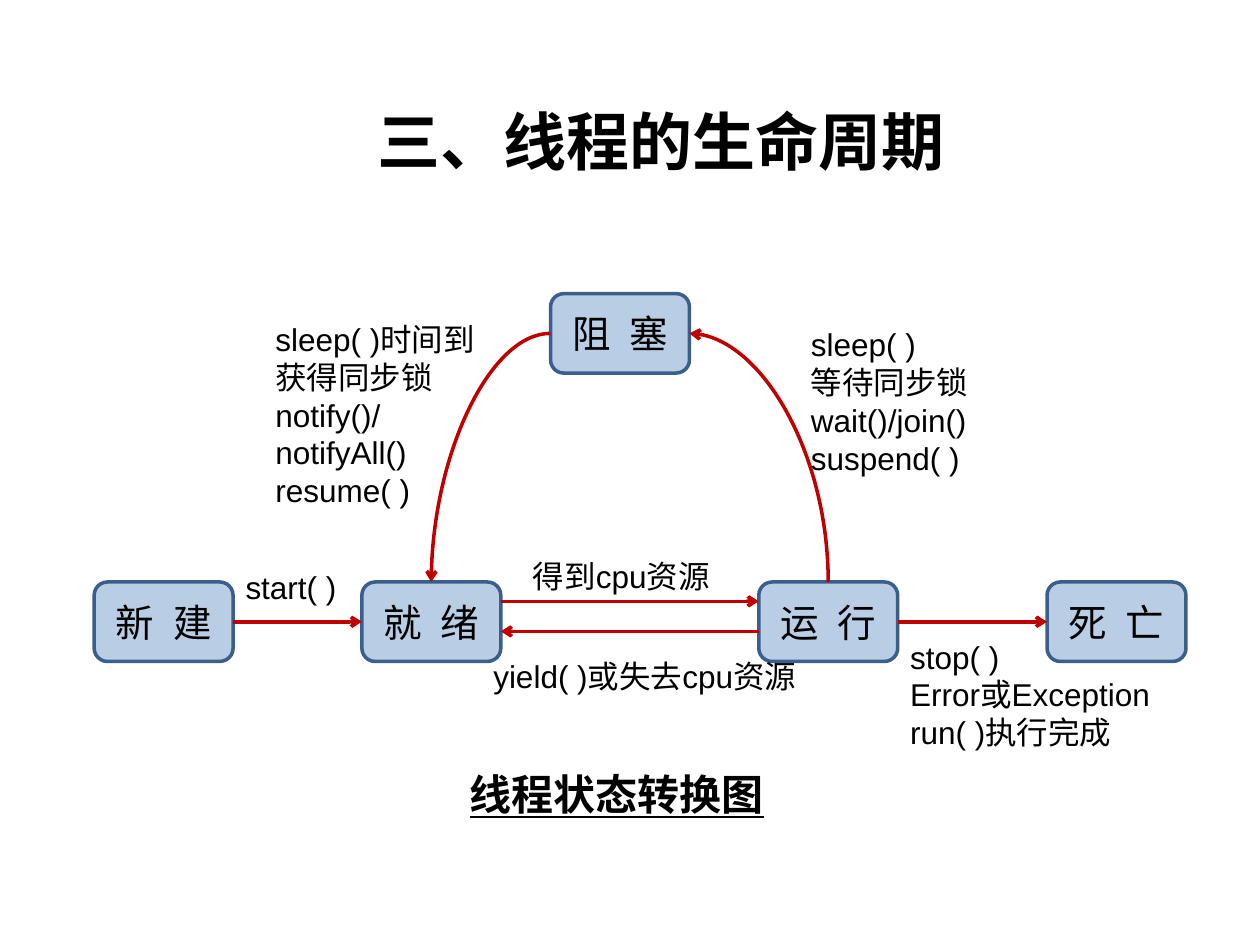
from dataclasses import dataclass

from lxml.etree import SubElement
from pptx import Presentation
from pptx.dml.color import RGBColor
from pptx.enum.shapes import MSO_CONNECTOR, MSO_SHAPE
from pptx.enum.text import MSO_ANCHOR, PP_ALIGN
from pptx.oxml.ns import qn
from pptx.util import Pt

TOP, LEFT, BOTTOM, RIGHT = range(4)  # connection sites of a rounded box


@dataclass(frozen=True)
class Theme:
    text: RGBColor = RGBColor(0, 0, 0)
    fill: RGBColor = RGBColor(0xB9, 0xCD, 0xE5)
    border: RGBColor = RGBColor(0x3A, 0x5F, 0x8C)
    arrow: RGBColor = RGBColor(0xC0, 0, 0)
    latin: str = "Arial"
    cjk: str = "Noto Sans CJK SC"
    title_font: str = "Times New Roman"
    title_size: int = 36
    caption_size: int = 24
    state_size: int = 22
    label_size: int = 18
    line_width: int = 2


class StateDiagram:
    state_width, state_height = 79.4, 45.4

    def __init__(self, slide, theme):
        self.slide, self.theme = slide, theme

    def set_text(self, tf, lines, size, font, bold=False, underline=False,
                 align=PP_ALIGN.LEFT, spacing=0):
        """Fill a text frame, one paragraph per line; spacing is in points."""
        tf.word_wrap = True
        for i, line in enumerate(lines):
            p = tf.add_paragraph() if i else tf.paragraphs[0]
            p.text = line
            p.alignment = align
            p.font.size = Pt(size)
            p.font.bold = bold
            p.font.underline = underline
            p.font.color.rgb = self.theme.text
            p.font.name = font
            props = p._p.pPr.find(qn("a:defRPr"))
            props.set("spc", str(spacing * 100))
            SubElement(props, qn("a:ea"), typeface=self.theme.cjk)

    def title(self, text, x, y, w, h):
        sp = self.slide.shapes.title
        sp.left, sp.top, sp.width, sp.height = Pt(x), Pt(y), Pt(w), Pt(h)
        sp.text_frame.vertical_anchor = MSO_ANCHOR.MIDDLE
        self.set_text(sp.text_frame, [text], self.theme.title_size,
                      self.theme.title_font, bold=True, align=PP_ALIGN.CENTER)

    def state(self, name, x, y):
        sp = self.slide.shapes.add_shape(
            MSO_SHAPE.ROUNDED_RECTANGLE, Pt(x), Pt(y),
            Pt(self.state_width), Pt(self.state_height))
        sp.shadow.inherit = False
        sp.fill.solid()
        sp.fill.fore_color.rgb = self.theme.fill
        sp.line.color.rgb = self.theme.border
        sp.line.width = Pt(self.theme.line_width)
        sp.text_frame.vertical_anchor = MSO_ANCHOR.MIDDLE
        self.set_text(sp.text_frame, [name], self.theme.state_size,
                      self.theme.latin, align=PP_ALIGN.CENTER, spacing=3)
        return sp

    def text_box(self, x, y, w, h, lines, **style):
        sp = self.slide.shapes.add_textbox(Pt(x), Pt(y), Pt(w), Pt(h))
        self.set_text(sp.text_frame, lines, **style)

    def label(self, x, y, w, *lines):
        self.text_box(x, y, w, 7.2 + 21.6 * len(lines), lines,
                      size=self.theme.label_size, font=self.theme.latin)

    def caption(self, text, x, y, w, h):
        self.text_box(x, y, w, h, [text], size=self.theme.caption_size,
                      font=self.theme.cjk, bold=True, underline=True)

    def arrow(self, x1=0, y1=0, x2=0, y2=0, curved=False, arrow_end="tailEnd"):
        kind = MSO_CONNECTOR.CURVE if curved else MSO_CONNECTOR.STRAIGHT
        line = self.slide.shapes.add_connector(kind, Pt(x1), Pt(y1), Pt(x2), Pt(y2))
        line.line.color.rgb = self.theme.arrow
        line.line.width = Pt(self.theme.line_width)
        props = line._element.spPr
        if curved:
            props.find(qn("a:prstGeom")).set("prst", "curvedConnector2")
        SubElement(props.find(qn("a:ln")), qn(f"a:{arrow_end}"), type="arrow")
        SubElement(props, qn("a:effectLst"))
        return line

    def link(self, begin, begin_site, end, end_site, **style):
        """Glue an arrow to two states; a curve leaves its begin sideways."""
        line = self.arrow(**style)
        line.begin_connect(begin, begin_site)
        line.end_connect(end, end_site)


def main():
    prs = Presentation()
    prs.slide_width, prs.slide_height = Pt(720), Pt(540)
    s = prs.slides.add_slide(prs.slide_layouts[5])
    diagram = StateDiagram(s, Theme())

    diagram.title("三、线程的生命周期", 161.3, 54.7, 433.4, 51.1)

    row_y = 332.6
    blocked = diagram.state("阻 塞", 314.6, 167.8)
    new, ready, running, dead = [
        diagram.state(name, x, row_y)
        for name, x in (("新 建", 53.8), ("就 绪", 206.8),
                        ("运 行", 433.6), ("死 亡", 598.3))]

    diagram.link(new, RIGHT, ready, LEFT)
    diagram.link(running, RIGHT, dead, LEFT)
    diagram.link(blocked, LEFT, ready, TOP, curved=True)
    diagram.link(blocked, RIGHT, running, TOP, curved=True, arrow_end="headEnd")
    ready_x, running_x = 286.2, 433.6
    diagram.arrow(ready_x, 343.6, running_x, 343.6)
    diagram.arrow(running_x, 360.8, ready_x, 360.8)

    diagram.label(133.2, 321.1, 73.4, "start( )")
    diagram.label(297.4, 314.6, 130.3, "得到cpu资源")
    diagram.label(274.8, 372.2, 193, "yield( )或失去cpu资源")
    diagram.label(513, 360.8, 195.8, "stop( )", "Error或Exception", "run( )执行完成")
    diagram.label(456.3, 182.3, 153.4,
                  "sleep( )", "等待同步锁", "wait()/join()", "suspend( )")
    diagram.label(150.3, 179.3, 147.6,
                  "sleep( )时间到", "获得同步锁", "notify()/notifyAll()", "resume( )")
    diagram.caption("线程状态转换图", 261.4, 435.6, 187.2, 36)

    prs.save("out.pptx")


if __name__ == "__main__":
    main()
